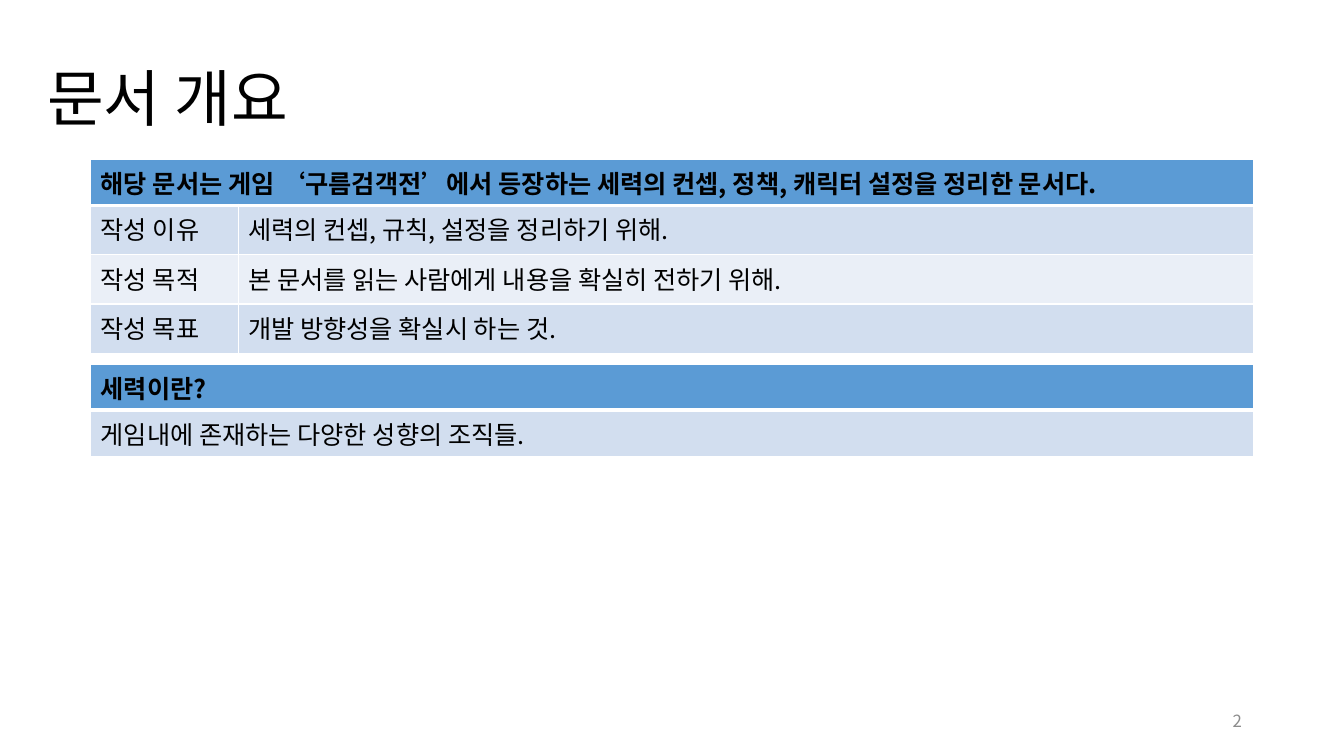
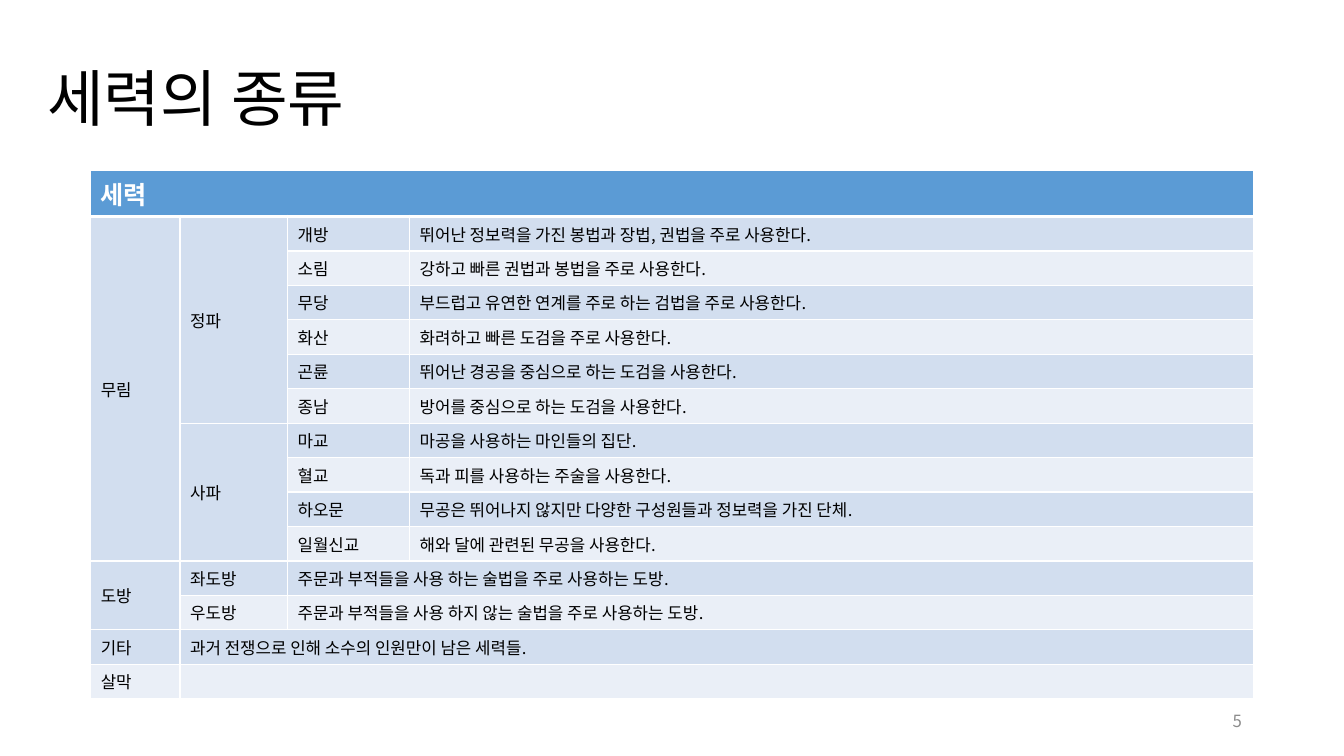
from lxml import etree
from pptx import Presentation
from pptx import util as u
from pptx.dml.color import RGBColor
from pptx.enum import text
from pptx.oxml import ns

FONT = "Noto Sans CJK KR"
BLACK, WHITE, GREY = "000000", "FFFFFF", "8C8C8C"
HEADER, BANDS = "5B9BD5", ("D2DEEF", "EAEFF7")
TABLE_LEFT, TABLE_WIDTH = 6.75, 86.5
HEADER_ROW = 6.07


def color(value):
    return RGBColor.from_string(value)


class Deck:
    """Holds the style and the current slide; lengths are percent of the slide."""

    def __init__(self):
        self.presentation = Presentation()
        self.presentation.slide_width = u.Inches(13.33)
        self.presentation.slide_height = u.Inches(7.5)
        self.slide = None

    def x(self, share):
        return round(self.presentation.slide_width * share / 100)

    def y(self, share):
        return round(self.presentation.slide_height * share / 100)

    def new_slide(self, title, number):
        layout = self.presentation.slide_layouts[6]
        self.slide = self.presentation.slides.add_slide(layout)
        heading = self.text_box(title, (2.78, 5.6, 94.5, 15.6), 44, BLACK)
        heading.line_spacing = 0.9
        page = self.text_box(number, (70.65, 92.67, 22.5, 5.33), 12, GREY)
        page.alignment = text.PP_ALIGN.RIGHT

    def set_text(self, paragraph, words, size, ink, bold=False):
        if words:
            paragraph.text = words
        else:
            paragraph._p.get_or_add_endParaRPr().set("sz", str(size * 100))
        font = paragraph.font
        font.name, font.size, font.bold = FONT, u.Pt(size), bold
        font.color.rgb = color(ink)
        # East Asian typeface follows the Latin one
        latin = font._element.find(ns.qn("a:latin"))
        latin.addnext(etree.Element(ns.qn("a:ea"), typeface=FONT))

    def text_box(self, words, box, size, ink):
        left, top, width, height = box
        shape = self.slide.shapes.add_textbox(
            self.x(left), self.y(top), self.x(width), self.y(height))
        frame = shape.text_frame
        frame.word_wrap = True
        frame.vertical_anchor = text.MSO_ANCHOR.MIDDLE
        paragraph = frame.paragraphs[0]
        self.set_text(paragraph, words, size, ink)
        return paragraph

    def border(self, cell, side, points):
        line = etree.SubElement(cell._tc.get_or_add_tcPr(), ns.qn("a:ln" + side),
                                w=str(u.Pt(points)))
        fill = etree.SubElement(line, ns.qn("a:solidFill"))
        etree.SubElement(fill, ns.qn("a:srgbClr"), val=WHITE)

    def table(self, top, columns, row_height, rows, size=18, header_ink=BLACK,
              anchor=text.MSO_ANCHOR.TOP):
        """None continues the cell above; the last cell of a row spans the rest."""
        widths = [*columns, TABLE_WIDTH - sum(columns)]
        heights = [HEADER_ROW] + [row_height] * (len(rows) - 1)
        table = self.slide.shapes.add_table(
            len(rows), len(widths), self.x(TABLE_LEFT), self.y(top),
            self.x(TABLE_WIDTH), self.y(sum(heights))).table
        table.first_row = table.horz_banding = False
        for column, width in zip(table.columns, widths):
            column.width = self.x(width)
        for row, height in zip(table.rows, heights):
            row.height = self.y(height)

        # Fills and borders
        for i in range(len(rows)):
            for j in range(len(widths)):
                cell = table.cell(i, j)
                for side in "LRTB":
                    thick = (i, side) in ((0, "B"), (1, "T"))
                    self.border(cell, side, 3 if thick else 1)
                cell.fill.solid()
                cell.fill.fore_color.rgb = color(BANDS[(i - 1) % 2] if i else HEADER)

        # Words and merged cells
        for i, row in enumerate(rows):
            for j, words in enumerate(row):
                if words is None:
                    continue
                end_row, end_column = i, j
                while (end_row + 1 < len(rows) and j < len(rows[end_row + 1])
                       and rows[end_row + 1][j] is None):
                    end_row += 1
                if j == len(row) - 1:
                    end_column = len(widths) - 1
                cell = table.cell(i, j)
                if (end_row, end_column) != (i, j):
                    cell.merge(table.cell(end_row, end_column))
                cell.vertical_anchor = anchor if i else text.MSO_ANCHOR.TOP
                paragraph = cell.text_frame.paragraphs[0]
                if i:
                    self.set_text(paragraph, words, size, BLACK)
                else:
                    self.set_text(paragraph, words, 18, header_ink, bold=True)


def main():
    deck = Deck()

    # Document overview
    deck.new_slide("문서 개요", "2")
    deck.table(21.1, [10.98], 6.53, [
        ["해당 문서는 게임 ‘구름검객전’에서 등장하는 세력의 컨셉, 정책, 캐릭터 설정을 정리한 문서다."],
        ["작성 이유", "세력의 컨셉, 규칙, 설정을 정리하기 위해."],
        ["작성 목적", "본 문서를 읽는 사람에게 내용을 확실히 전하기 위해."],
        ["작성 목표", "개발 방향성을 확실시 하는 것."],
    ])
    deck.table(48.2, [], HEADER_ROW, [
        ["세력이란?"],
        ["게임내에 존재하는 다양한 성향의 조직들."],
    ])

    # Kinds of factions
    deck.new_slide("세력의 종류", "5")
    deck.table(22.57, [6.65, 8, 9.08], 4.56, [
        ["세력"],
        ["무림", "정파", "개방", "뛰어난 정보력을 가진 봉법과 장법, 권법을 주로 사용한다."],
        [None, None, "소림", "강하고 빠른 권법과 봉법을 주로 사용한다."],
        [None, None, "무당", "부드럽고 유연한 연계를 주로 하는 검법을 주로 사용한다."],
        [None, None, "화산", "화려하고 빠른 도검을 주로 사용한다."],
        [None, None, "곤륜", "뛰어난 경공을 중심으로 하는 도검을 사용한다."],
        [None, None, "종남", "방어를 중심으로 하는 도검을 사용한다."],
        [None, "사파", "마교", "마공을 사용하는 마인들의 집단."],
        [None, None, "혈교", "독과 피를 사용하는 주술을 사용한다."],
        [None, None, "하오문", "무공은 뛰어나지 않지만 다양한 구성원들과 정보력을 가진 단체."],
        [None, None, "일월신교", "해와 달에 관련된 무공을 사용한다."],
        ["도방", "좌도방", "주문과 부적들을 사용 하는 술법을 주로 사용하는 도방."],
        [None, "우도방", "주문과 부적들을 사용 하지 않는 술법을 주로 사용하는 도방."],
        ["기타", "과거 전쟁으로 인해 소수의 인원만이 남은 세력들."],
        ["살막", ""],
    ], size=12, header_ink=WHITE, anchor=text.MSO_ANCHOR.MIDDLE)

    deck.presentation.save("out.pptx")


if __name__ == "__main__":
    main()
